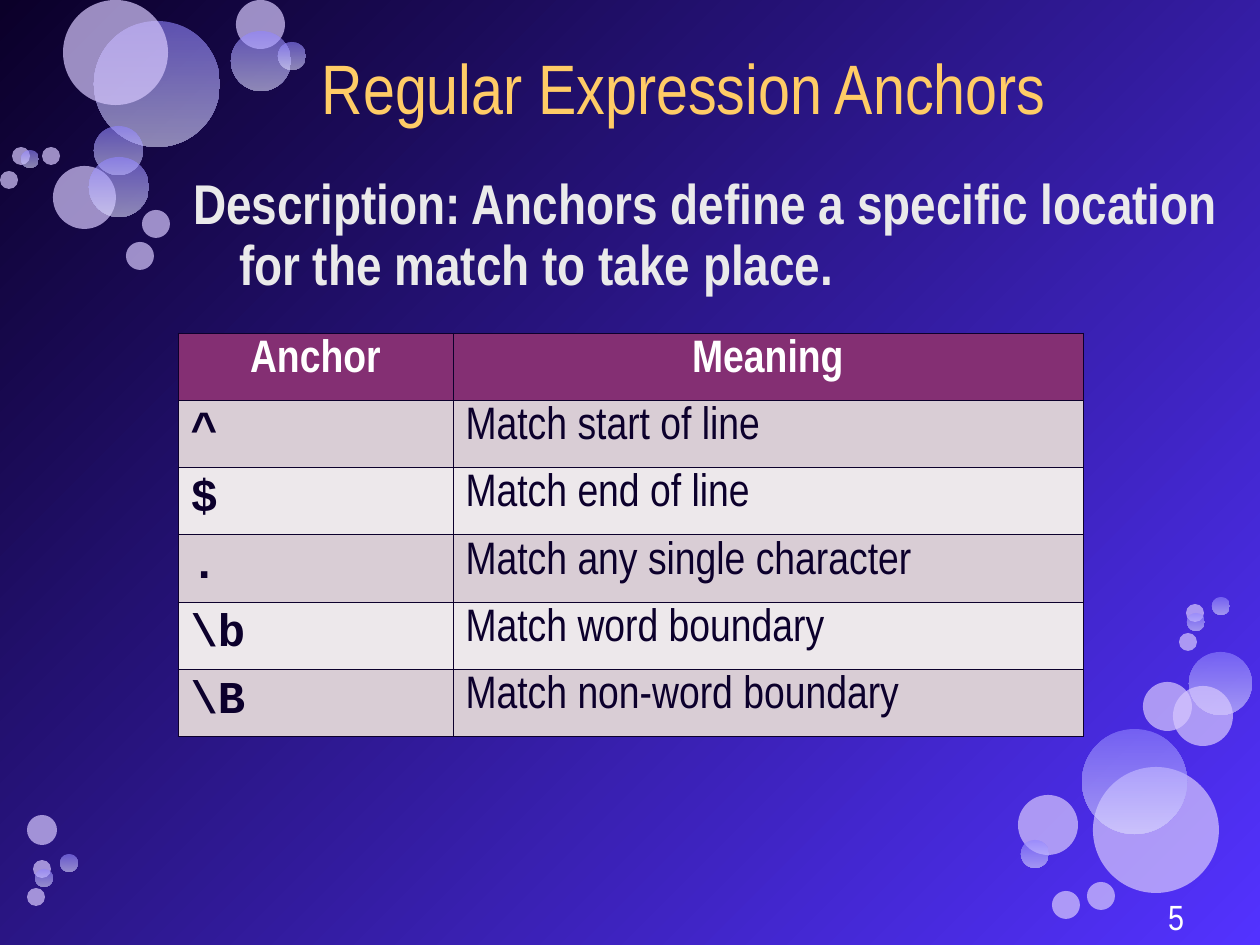
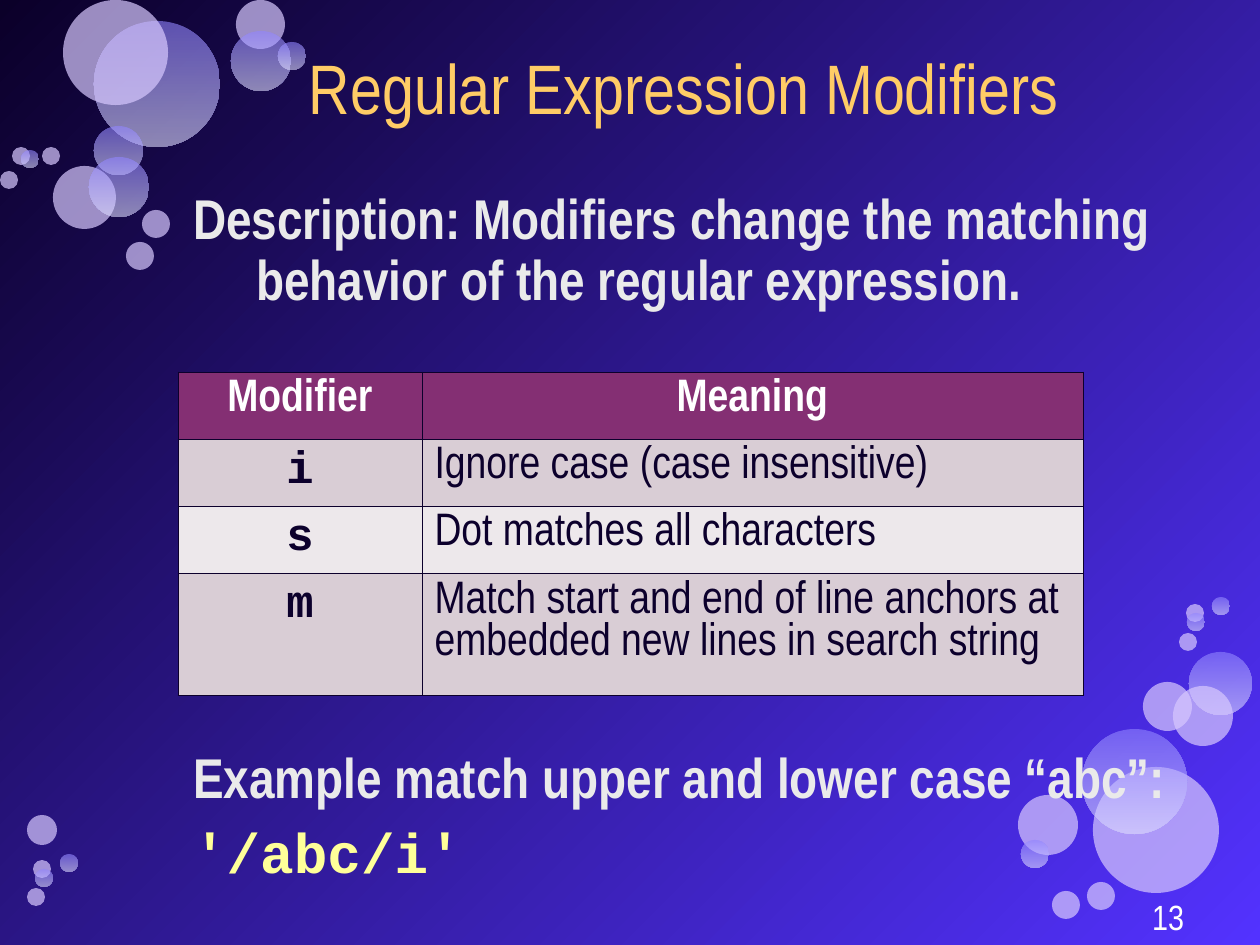
from lxml import etree
from pptx import Presentation
from pptx import util as u
from pptx.dml.color import RGBColor
from pptx.enum import shapes, text
from pptx.oxml.ns import qn

COLORS = {
    "night": "0B0029", "violet": "5332FF", "iris": "9185FF", "mist": "DEDCFF",
    "lilac": "D7C8FE", "title": "FFCC66", "body": "EAEAEA", "code": "FFFF99",
    "white": "FFFFFF", "ink": "0C002C", "header": "842F73",
    "odd_row": "D9CDD5", "even_row": "EDE8EB",
}
SANS, MONO = "Arial Narrow", "Courier New"
LEFT, CENTER, RIGHT = text.PP_ALIGN.LEFT, text.PP_ALIGN.CENTER, text.PP_ALIGN.RIGHT
EMU_PER_PX = 914400 / 126

SHADED, PLAIN = True, False
BUBBLES = [
    (94, 21, 126, SHADED), (53, 166, 63, PLAIN), (94, 126, 49, SHADED),
    (89, 157, 60, SHADED), (63, 0, 105, PLAIN), (236, 0, 49, PLAIN),
    (231, 31, 60, SHADED), (278, 42, 28, SHADED), (142, 210, 28, PLAIN),
    (12, 147, 18, PLAIN), (126, 242, 28, PLAIN), (0, 171, 18, PLAIN),
    (21, 150, 18, SHADED), (42, 147, 18, PLAIN), (1093, 767, 126, PLAIN),
    (1189, 652, 63, SHADED), (1143, 682, 49, PLAIN), (1173, 686, 60, PLAIN),
    (1082, 729, 105, SHADED), (27, 815, 30, PLAIN), (1018, 795, 60, PLAIN),
    (1021, 840, 28, SHADED), (1052, 891, 28, PLAIN), (1186, 604, 18, PLAIN),
    (1087, 882, 28, PLAIN), (1212, 597, 18, SHADED), (1187, 613, 18, SHADED),
    (1179, 633, 18, PLAIN), (33, 860, 18, PLAIN), (60, 854, 18, SHADED),
    (35, 869, 18, SHADED), (27, 888, 18, PLAIN),
]

ANCHORS = [
    ("Anchor", "Meaning"),
    ("^", "Match start of line"),
    ("$", "Match end of line"),
    (".", "Match any single character"),
    ("\\b", "Match word boundary"),
    ("\\B", "Match non-word boundary"),
]
MODIFIERS = [
    ("Modifier", "Meaning"),
    ("i", "Ignore case (case insensitive)"),
    ("s", "Dot matches all characters"),
    ("m", "Match start and end of line anchors at embedded new lines in search string"),
]


def px(length):
    return u.Emu(round(length * EMU_PER_PX))


def rgb(name):
    return RGBColor.from_string(COLORS[name])


class Painter:
    def __init__(self):
        self.deck = Presentation()
        self.deck.slide_width, self.deck.slide_height = px(1260), px(945)
        self.page = None

    def start_page(self, title, number):
        self.page = self.deck.slides.add_slide(self.deck.slide_layouts[6])
        self.gradient(self.page.background.fill, "night", "violet", 45)
        for bubble in BUBBLES:
            self.bubble(*bubble)
        title_box = self.text_box(131, 29, 1105, 111)
        self.style(title_box.paragraphs[0], title, 40, "title", align=CENTER, spacing=1.04)
        number_box = self.text_box(903, 898, 294, 35, inset=13)
        self.style(number_box.paragraphs[0], str(number), 20, "white", align=RIGHT, spacing=1.04)

    def gradient(self, fill, first, last, clockwise):
        fill.gradient()
        fill.gradient_angle = 360 - clockwise
        for stop, name in zip(fill.gradient_stops, (first, last)):
            stop.color.rgb = rgb(name)

    def bubble(self, left, top, size, shaded):
        oval = self.page.shapes.add_shape(
            shapes.MSO_SHAPE.OVAL, px(left), px(top), px(size), px(size))
        oval.shadow.inherit = False
        oval.line.fill.background()
        if shaded:
            self.gradient(oval.fill, "iris", "mist", 90)
        else:
            oval.fill.solid()
            oval.fill.fore_color.rgb = rgb("lilac")
        for color in oval.element.spPr.iter(qn("a:srgbClr")):
            etree.SubElement(color, qn("a:alpha"), val="60000" if shaded else "70000")

    def text_box(self, left, top, width, height, inset=0):
        box = self.page.shapes.add_textbox(px(left), px(top), px(width), px(height))
        frame = box.text_frame
        frame.word_wrap = True
        frame.vertical_anchor = text.MSO_ANCHOR.MIDDLE
        frame.margin_left = frame.margin_right = px(inset)
        frame.margin_top = frame.margin_bottom = 0
        return frame

    def style(self, para, words, size, color, font=SANS, bold=False, align=LEFT, spacing=None):
        para.text = words
        para.alignment = align
        if spacing:
            para.line_spacing = spacing
        para.font.size = u.Pt(size)
        para.font.name = font
        para.font.bold = bold
        para.font.color.rgb = rgb(color)

    def statement(self, top, height, lines, hanging):
        frame = self.text_box(193, top, 1027, height)
        for index, (words, color, font) in enumerate(lines):
            para = frame.add_paragraph() if index else frame.paragraphs[0]
            self.style(para, words, 32, color, font, bold=True, spacing=0.91)
            if index:
                para.space_before = u.Pt(8)
            properties = para._p.get_or_add_pPr()
            properties.set("marL", str(px(hanging)))
            properties.set("indent", str(-px(hanging)))

    def border(self, cell):
        properties = cell._tc.get_or_add_tcPr()
        for side in ("lnL", "lnR", "lnT", "lnB"):
            line = etree.SubElement(properties, qn(f"a:{side}"), w=str(u.Pt(0.45)))
            fill = etree.SubElement(line, qn("a:solidFill"))
            etree.SubElement(fill, qn("a:srgbClr"), val=COLORS["ink"])

    def table(self, top, widths, heights, rows, symbol_align):
        table = self.page.shapes.add_table(
            len(rows), len(widths), px(178), px(top), px(sum(widths)), px(sum(heights))).table
        for column, width in zip(table.columns, widths):
            column.width = px(width)
        for row, height in zip(table.rows, heights):
            row.height = px(height)
        for r, entries in enumerate(rows):
            fill = "header" if r == 0 else "odd_row" if r % 2 else "even_row"
            for c, words in enumerate(entries):
                cell = table.cell(r, c)
                self.border(cell)
                cell.fill.solid()
                cell.fill.fore_color.rgb = rgb(fill)
                para = cell.text_frame.paragraphs[0]
                if r == 0:
                    self.style(para, words, 26, "white", bold=True, align=CENTER)
                elif c == 0:
                    self.style(para, words, 26, "ink", MONO, bold=True, align=symbol_align)
                else:
                    self.style(para, words, 26, "ink")


def main():
    painter = Painter()

    painter.start_page("Regular Expression Anchors", 5)
    painter.statement(150, 173, [
        ("Description: Anchors define a specific location for the match to take place.",
         "body", SANS)], hanging=46)
    painter.table(333, (275, 630), [67] * 6, ANCHORS, LEFT)

    painter.start_page("Regular Expression Modifiers", 13)
    painter.statement(150, 204, [
        ("Description: Modifiers change the matching behavior of the regular expression.",
         "body", SANS)], hanging=63)
    painter.table(372, (244, 661), [67, 67, 67, 122], MODIFIERS, CENTER)
    painter.statement(711, 214, [
        ("Example match upper and lower case “abc”:", "body", SANS),
        ("'/abc/i'", "code", MONO)], hanging=46)

    painter.deck.save("out.pptx")


if __name__ == "__main__":
    main()
